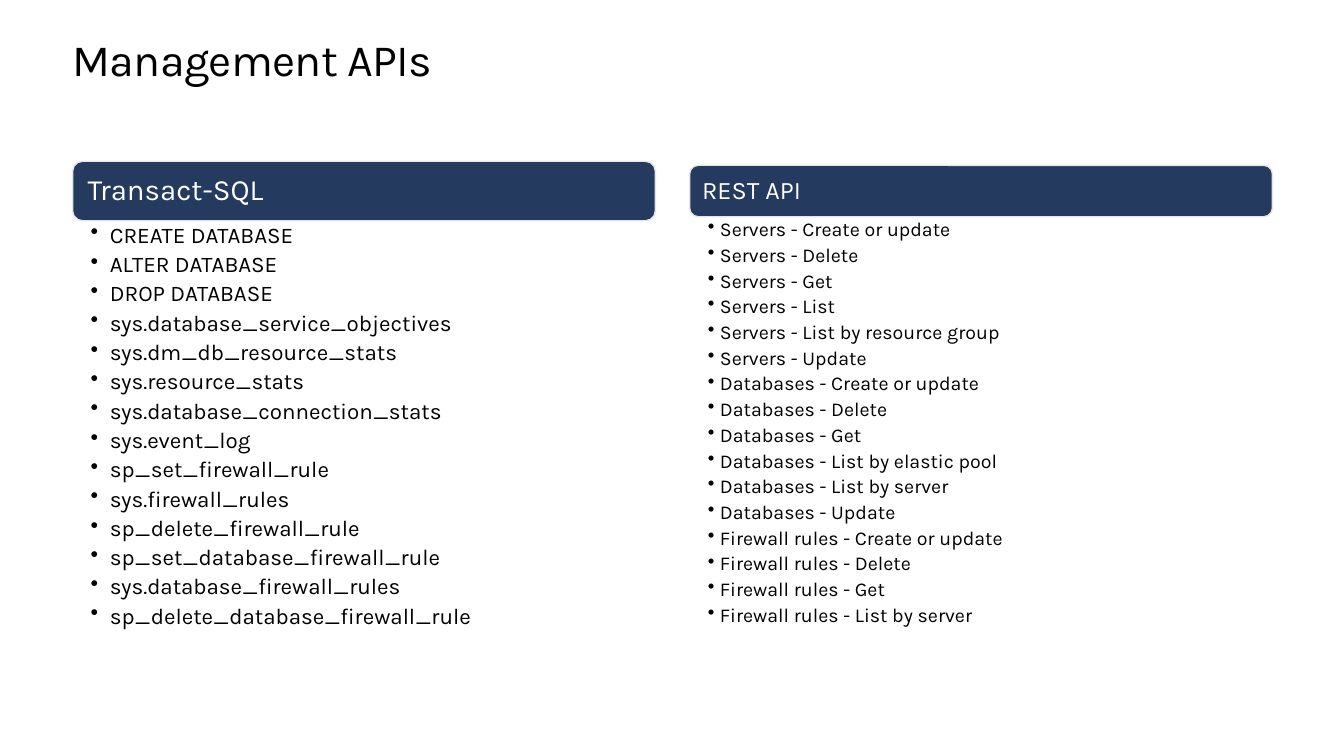
import pptx
import pptx.util
import pptx.dml.color
import pptx.enum.shapes
import pptx.enum.text
import pptx.oxml.ns
from lxml import etree
from pptx.util import Inches, Pt

FONT = "Karla"
WIDE = 5.78

SQL = [
    "CREATE DATABASE", "ALTER DATABASE", "DROP DATABASE",
    "sys.database_service_objectives", "sys.dm_db_resource_stats",
    "sys.resource_stats", "sys.database_connection_stats",
    "sys.event_log", "sp_set_firewall_rule", "sys.firewall_rules",
    "sp_delete_firewall_rule", "sp_set_database_firewall_rule",
    "sys.database_firewall_rules", "sp_delete_database_firewall_rule",
]
REST = {
    "Servers": ["Create or update", "Delete", "Get", "List",
                "List by resource group", "Update"],
    "Databases": ["Create or update", "Delete", "Get",
                  "List by elastic pool", "List by server", "Update"],
    "Firewall rules": ["Create or update", "Delete", "Get",
                       "List by server"],
}


def color(code):
    return pptx.dml.color.RGBColor.from_string(code)


def add_run(para, text, size, code):
    run = para.add_run()
    run.text = text
    run.font.name = FONT
    run.font.size = Pt(size)
    run.font.color.rgb = color(code)
    return run


def set_frame(frame, left, top, right, bottom, anchor):
    """Set insets in inches and the vertical anchor."""
    frame.word_wrap = True
    frame.margin_left, frame.margin_top = Inches(left), Inches(top)
    frame.margin_right, frame.margin_bottom = Inches(right), Inches(bottom)
    frame.vertical_anchor = anchor


def add_title(slide, text):
    title = slide.shapes.title
    title.left, title.top = Inches(0.72), Inches(0.35)
    title.width, title.height = Inches(11.9), Inches(0.5)
    frame = title.text_frame
    set_frame(frame, 0, 0, 0, 0, pptx.enum.text.MSO_ANCHOR.TOP)
    frame.auto_size = pptx.enum.text.MSO_AUTO_SIZE.NONE
    para = frame.paragraphs[0]
    para.alignment = pptx.enum.text.PP_ALIGN.LEFT
    para.line_spacing = Pt(36.2)
    run = add_run(para, text, 32, "000000")
    run._r.get_or_add_rPr().set("spc", "-50")


def add_head(slide, left, top, height, text, size, inset):
    bar = slide.shapes.add_shape(
        pptx.enum.shapes.MSO_SHAPE.ROUNDED_RECTANGLE,
        Inches(left), Inches(top), Inches(WIDE), Inches(height))
    bar.shadow.inherit = False
    bar.fill.solid()
    bar.fill.fore_color.rgb = color("243A5E")
    bar.line.color.rgb = color("E6E6E6")
    bar.line.width = Pt(1)
    set_frame(bar.text_frame, inset, inset, inset, inset,
              pptx.enum.text.MSO_ANCHOR.MIDDLE)
    para = bar.text_frame.paragraphs[0]
    para.alignment = pptx.enum.text.PP_ALIGN.LEFT
    para.line_spacing = 0.9
    add_run(para, text, size, "FFFFFF")


def add_bullet(para, indent):
    props = para._p.get_or_add_pPr()
    props.set("marL", str(Inches(indent)))
    props.set("indent", str(-Inches(indent)))
    mark = etree.SubElement(props, pptx.oxml.ns.qn("a:buChar"))
    mark.set("char", "•")


def add_list(slide, left, top, items, size, indent, right):
    box = slide.shapes.add_textbox(
        Inches(left), Inches(top), Inches(WIDE), Inches(4.56))
    frame = box.text_frame
    set_frame(frame, 0.18, 0.03, right, 0.03,
              pptx.enum.text.MSO_ANCHOR.TOP)
    for i, item in enumerate(items):
        para = frame.add_paragraph() if i else frame.paragraphs[0]
        add_bullet(para, indent)
        para.level = 1
        para.line_spacing = 0.9
        para.space_after = Pt(0.23 * size)
        add_run(para, item, size, "000000")


def main():
    deck = pptx.Presentation()
    deck.slide_width, deck.slide_height = Inches(13.33), Inches(7.5)
    slide = deck.slides.add_slide(deck.slide_layouts[5])
    add_title(slide, "Management APIs")

    add_head(slide, 0.72, 1.6, 0.59, "Transact-SQL", 21, 0.12)
    add_list(slide, 0.72, 2.19, SQL, 16, 0.19, 0.16)

    calls = [f"{group} - {call}" for group in REST for call in REST[group]]
    add_head(slide, 6.84, 1.64, 0.51, "REST API", 18, 0.1)
    add_list(slide, 6.84, 2.15, calls, 14, 0.12, 0.14)
    deck.save("out.pptx")


if __name__ == "__main__":
    main()
